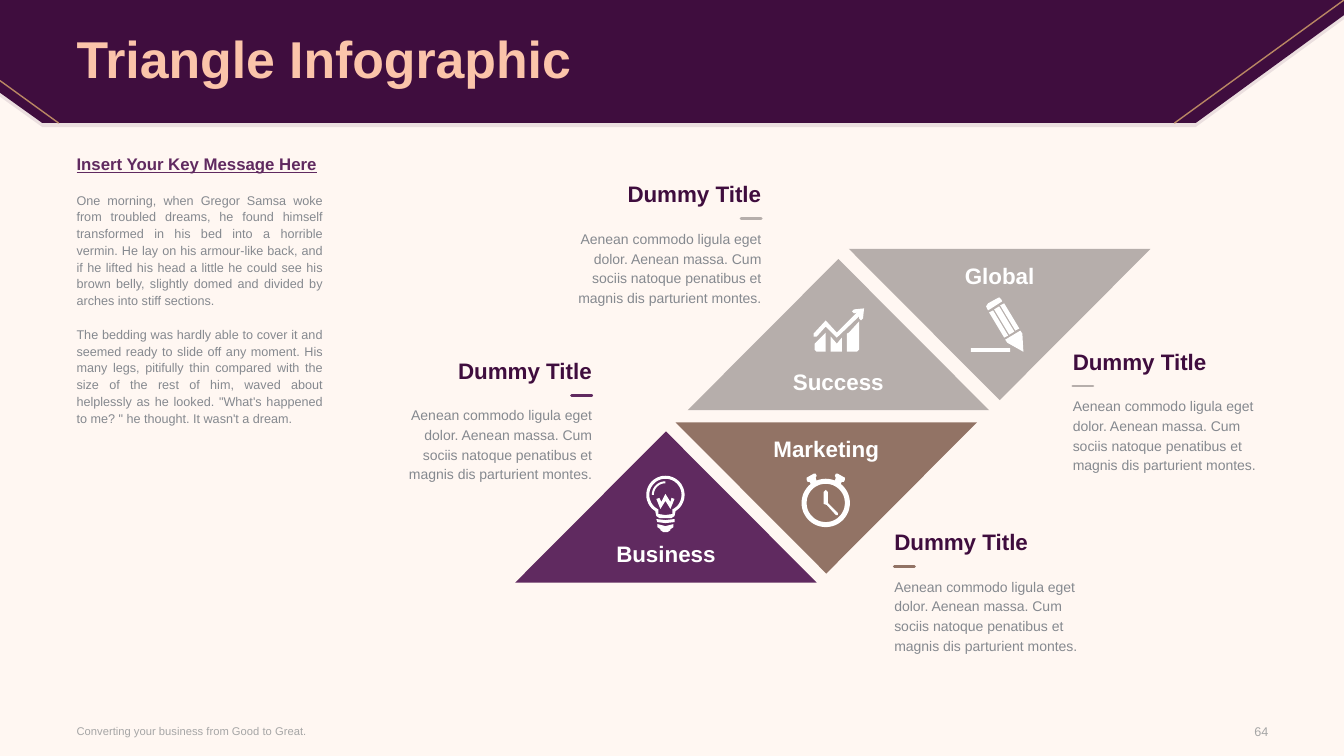
from math import cos, radians, sin

from lxml.etree import SubElement
from pptx import Presentation
from pptx.dml.color import RGBColor
from pptx.enum.shapes import MSO_CONNECTOR
from pptx.enum.text import MSO_ANCHOR, PP_ALIGN
from pptx.oxml.ns import qn
from pptx.util import Inches, Pt

WIDTH, HEIGHT, MARGIN = 13.33, 7.5, 0.76
TRI_W, TRI_H = 2.99, 1.5
CALLOUT_W, LINE_H = 1.93, 0.27
COLORS = {
    "cream": "FFF7F2", "plum": "3F0D3E", "violet": "602A60", "stone": "B6AEAB",
    "brown": "927365", "peach": "FBC4AA", "gold": "B98763", "white": "FFFFFF",
    "text": "85898F", "footer": "A6A6A6",
}
BLURB = ("Aenean commodo ligula eget dolor. Aenean massa. Cum sociis natoque "
         "penatibus et magnis dis parturient montes.")
STORY = [
    "One morning, when Gregor Samsa woke from troubled dreams, he found himself "
    "transformed in his bed into a horrible vermin. He lay on his armour-like back, "
    "and if he lifted his head a little he could see his brown belly, slightly domed "
    "and divided by arches into stiff sections.",
    "The bedding was hardly able to cover it and seemed ready to slide off any moment. "
    "His many legs, pitifully thin compared with the size of the rest of him, waved "
    "about helplessly as he looked. \"What's happened to me? \" he thought. It wasn't "
    "a dream.",
]


def color(key):
    """Return the named palette colour."""
    return RGBColor.from_string(COLORS[key])


def arc(x, y, radius, start, end, steps=48):
    """Return points along an arc, angles in degrees clockwise from the right."""
    angles = [radians(start + (end - start) * i / steps) for i in range(steps + 1)]
    return [(x + radius * cos(a), y + radius * sin(a)) for a in angles]


def bulb():
    """Return the light bulb contours in hundredths of an inch."""
    return [
        arc(19, 19, 19, 122, 418) + [(28, 40), (25, 42), (13, 42), (10, 40)],
        arc(19, 19, 16, 116, 424) + [(26, 38), (19, 39), (12, 38)],
        arc(19, 19, 13.5, 180, 270) + arc(19, 19, 11.5, 270, 180),
        [(24, 26), (19, 18), (15, 26), (13, 22), (10, 23), (14, 33), (19, 25),
         (24, 33), (28, 23), (25, 22)],
        [(10, 43), (11, 46), (19, 47), (28, 46), (28, 43), (19, 44)],
        [(11, 48), (11, 51), (14, 53), (14, 54), (17, 56), (21, 56), (24, 54),
         (24, 53), (27, 51), (27, 48), (19, 50)],
    ]


def clock():
    """Return the alarm clock contours in hundredths of an inch."""
    bell = [(5, 7), (5, 5), (12, 1), (14, 1), (15, 3), (14, 5), (15, 8), (9, 11), (8, 9), (6, 9)]
    hands = [(22, 31), (22, 19), (24, 17), (26, 19), (26, 30), (36, 40), (36, 42),
             (34, 42), (25, 32)]
    return [arc(24, 30, 24, 0, 360), arc(24, 30, 19, 0, 360), hands,
            bell, [(48 - x, y) for x, y in bell]]


def growth():
    """Return the rising bars contours in hundredths of an inch."""
    return [
        [(18, 28), (18, 43), (29, 43), (29, 29), (24, 35)],
        [(2, 35), (2, 41), (4, 43), (13, 43), (13, 24)],
        [(34, 25), (34, 43), (44, 43), (46, 41), (46, 13), (36, 24)],
        [(41, 1), (39, 3), (41, 5), (44, 4), (24, 24), (13, 12), (1, 25), (1, 28),
         (4, 28), (13, 18), (24, 29), (46, 8), (46, 10), (48, 12), (50, 10), (51, 0)],
    ]


def pencil():
    """Return the pencil contours in hundredths of an inch."""
    return [
        [(36, 45), (52, 54), (51, 36), (49, 33), (34, 42)],
        [(44, 33), (48, 31), (33, 6), (29, 8)],
        [(43, 34), (28, 9), (23, 12), (38, 37)],
        [(18, 15), (33, 40), (37, 38), (22, 13)],
        [(17, 13), (31, 4), (30, 2), (28, 0), (26, 1), (17, 6), (15, 9), (16, 11)],
        [(0, 54), (39, 54), (39, 50.5), (0, 50.5)],
    ]


def add_outline(slide, left, top, contours, fill):
    """Draw closed contours, given in hundredths of an inch, as one filled shape."""
    contours = [[(x * 10, y * 10) for x, y in contour] for contour in contours]
    builder = slide.shapes.build_freeform(*contours[0][0], scale=914.4)
    builder.add_line_segments(contours[0][1:])
    for contour in contours[1:]:
        builder.move_to(*contour[0])
        builder.add_line_segments(contour[1:])
    outline = builder.convert_to_shape(Inches(left), Inches(top))
    outline.left += Inches(min(x for c in contours for x, _ in c) / 1000) * 0
    outline.fill.solid()
    outline.fill.fore_color.rgb = color(fill)
    outline.line.fill.background()
    outline.shadow.inherit = False
    return outline


def add_line(slide, start, end, hue, width):
    """Draw a straight shadowless line."""
    line = slide.shapes.add_connector(MSO_CONNECTOR.STRAIGHT, *map(Inches, start + end))
    line.line.color.rgb = color(hue)
    line.line.width = Pt(width)
    line.line._get_or_add_ln().set("cap", "rnd")
    SubElement(line._element.spPr, qn("a:effectLst"))


def fill_text(shape, box, paragraphs, size, hue, bold=False, align=PP_ALIGN.LEFT,
              spacing=None, anchor=MSO_ANCHOR.TOP):
    """Place a text shape without insets and write its paragraphs."""
    shape.left, shape.top, shape.width, shape.height = map(Inches, box)
    frame = shape.text_frame
    frame.word_wrap = True
    frame.vertical_anchor = anchor
    frame.margin_left = frame.margin_right = frame.margin_top = frame.margin_bottom = 0
    frame.text = "\n".join(paragraphs)
    for paragraph in frame.paragraphs:
        paragraph.alignment = align
        paragraph.line_spacing = spacing
        font = paragraph.font
        font.name, font.size, font.bold = "Arial", Pt(size), bold
        font.color.rgb = color(hue)
    return frame


def add_text(slide, box, paragraphs, size, hue, **style):
    """Add a text box."""
    textbox = slide.shapes.add_textbox(0, 0, 0, 0)
    return fill_text(textbox, box, paragraphs, size, hue, **style)


def add_header(slide, height):
    """Draw the cut banner with its soft edge, gold lines and title."""
    banner = [(0, 0), (WIDTH, 0), (WIDTH, 0.15), (11.86, height), (0.42, height), (0, 0.92)]
    contour = [(x * 100, y * 100) for x, y in banner]
    edge = add_outline(slide, 0, 0.04, [contour], "plum")
    SubElement(edge._element.spPr.find(f".//{qn('a:srgbClr')}"), qn("a:alpha"), val="10000")
    add_outline(slide, 0, 0, [contour], "plum")
    add_line(slide, (WIDTH, 0), (11.65, height), "gold", 1)
    add_line(slide, (0, 0.8), (0.58, height), "gold", 1)
    title = slide.shapes.title
    slide.shapes._spTree.append(title._element)
    fill_text(title, (MARGIN, 0.03, 11.81, 1.17), ["Triangle Infographic"], 37, "peach",
              bold=True, spacing=0.9, anchor=MSO_ANCHOR.MIDDLE)


def add_message(slide, box):
    """Write the key message column."""
    frame = add_text(slide, box, ["Insert Your Key Message Here"] + STORY, 9, "text",
                     align=PP_ALIGN.JUSTIFY, spacing=Pt(12))
    heading, *story = frame.paragraphs
    heading.font.size, heading.font.bold, heading.font.underline = Pt(12), True, True
    heading.font.color.rgb = color("violet")
    for paragraph in story:
        paragraph.space_before = Pt(12)


def add_triangle(slide, left, top, up, label, hue, icon, icon_x, icon_y):
    """Draw one triangle with its icon and label."""
    base, tip = (TRI_H, 0) if up else (0, TRI_H)
    corners = [(0, base), (TRI_W / 2, tip), (TRI_W, base)]
    add_outline(slide, left, top, [[(x * 100, y * 100) for x, y in corners]], hue)
    add_outline(slide, left + icon_x, top + icon_y, icon, "white")
    label_box = (left + (TRI_W - CALLOUT_W) / 2, top + (1.08 if up else 0.13), CALLOUT_W, LINE_H)
    add_text(slide, label_box, [label], 16, "white", bold=True, align=PP_ALIGN.CENTER)


def add_callout(slide, left, top, hue, align):
    """Write a titled blurb with a short rule on its aligned side."""
    add_text(slide, (left, top, CALLOUT_W, LINE_H), ["Dummy Title"], 16, "plum",
             bold=True, align=align)
    rule = left + (CALLOUT_W - 0.2 if align == PP_ALIGN.RIGHT else 0)
    add_line(slide, (rule, top + 0.38), (rule + 0.2, top + 0.38), hue, 2)
    add_text(slide, (left, top + 0.47, CALLOUT_W, 0.79), [BLURB], 10, "text",
             align=align, spacing=Pt(14))


def add_footer(slide, top):
    """Write the tagline and the page number."""
    add_text(slide, (MARGIN, top, 5.23, 0.26), ["Converting your business from Good to Great."],
             8, "footer", anchor=MSO_ANCHOR.MIDDLE)
    add_text(slide, (11.95, top + 0.01, 0.63, 0.26), ["64"], 9, "footer",
             align=PP_ALIGN.RIGHT, anchor=MSO_ANCHOR.MIDDLE)


def main():
    """Build the slide and save it."""
    deck = Presentation()
    deck.slide_width, deck.slide_height = Inches(WIDTH), Inches(HEIGHT)
    slide = deck.slides.add_slide(deck.slide_layouts[5])
    slide.background.fill.solid()
    slide.background.fill.fore_color.rgb = color("cream")
    add_header(slide, 1.22)
    add_message(slide, (MARGIN, 1.56, 2.44, 5.19))
    add_footer(slide, 7.12)
    add_triangle(slide, 5.11, 4.28, True, "Business", "violet", bulb(), 1.3, 0.44)
    add_triangle(slide, 8.42, 2.47, False, "Global", "stone", pencil(), 1.21, 0.48)
    add_triangle(slide, 6.7, 4.19, False, "Marketing", "brown", clock(), 1.25, 0.5)
    add_triangle(slide, 6.82, 2.57, True, "Success", "stone", growth(), 1.24, 0.49)
    add_callout(slide, 3.94, 3.54, "violet", PP_ALIGN.RIGHT)
    add_callout(slide, 5.62, 1.79, "stone", PP_ALIGN.RIGHT)
    add_callout(slide, 8.87, 5.24, "brown", PP_ALIGN.LEFT)
    add_callout(slide, 10.64, 3.45, "stone", PP_ALIGN.LEFT)
    deck.save("out.pptx")


if __name__ == "__main__":
    main()
